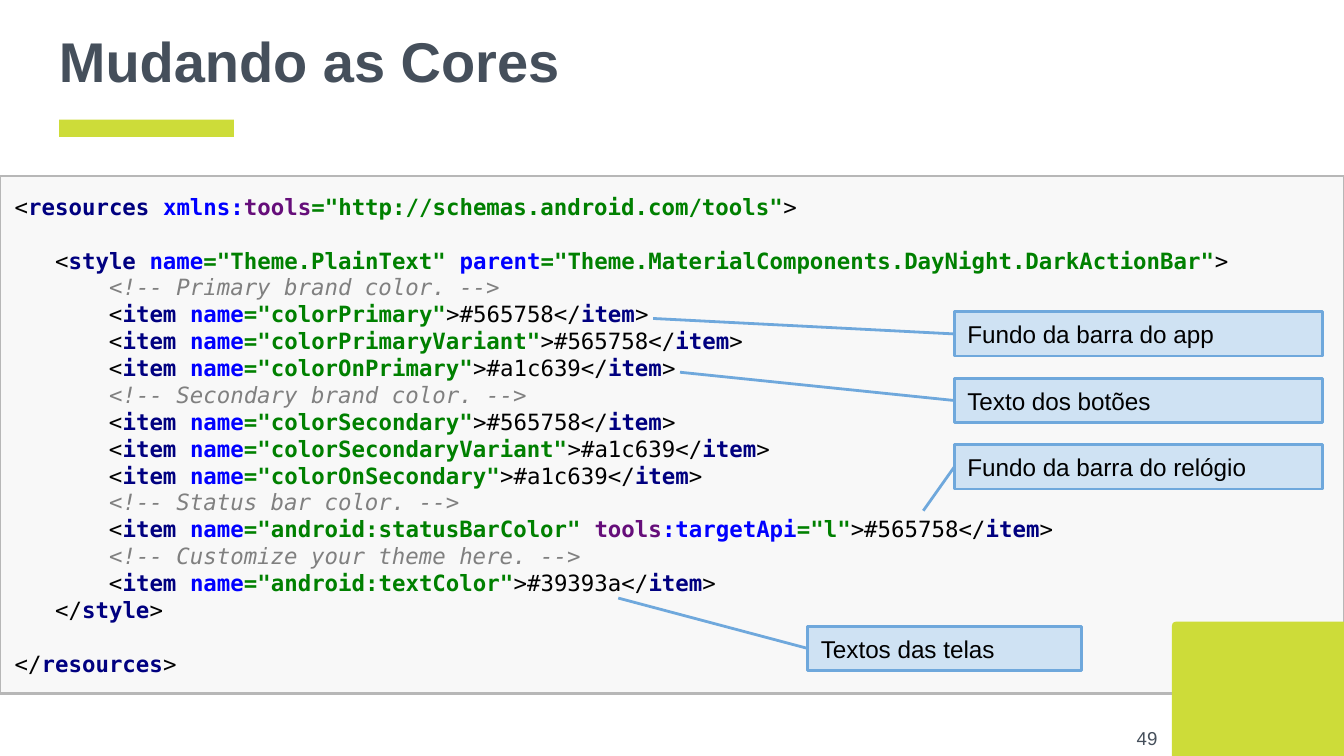
from dataclasses import dataclass

from lxml import etree
from pptx import Presentation
from pptx.dml.color import RGBColor
from pptx.enum.shapes import MSO_CONNECTOR, MSO_SHAPE
from pptx.enum.text import MSO_ANCHOR, PP_ALIGN
from pptx.oxml.ns import qn
from pptx.util import Inches, Pt

RECTANGLE = MSO_SHAPE.RECTANGLE
ROUNDED_CORNER = MSO_SHAPE.ROUND_1_RECTANGLE
STRAIGHT = MSO_CONNECTOR.STRAIGHT
MIDDLE = MSO_ANCHOR.MIDDLE
LEFT = PP_ALIGN.LEFT
RIGHT = PP_ALIGN.RIGHT
LEFT_SIDE = 1

COLUMNS, ROWS = 100, 56.25
WIDTH, HEIGHT = Inches(10), Inches(5.625)

COLORS = {
    "lime": "CDDC39",
    "slate": "454F5B",
    "panel": "F8F8F8",
    "panel_line": "B7B7B7",
    "callout": "CFE2F3",
    "callout_line": "6FA8DC",
    "plain": "000000",
    "tag": "000080",
    "attribute": "0000FF",
    "namespace": "660E7A",
    "string": "008000",
    "comment": "808080",
}
BOLD_STYLES = {"tag", "attribute", "namespace", "string"}


@dataclass(frozen=True)
class Area:
    column: float
    row: float
    columns: float
    rows: float


@dataclass(frozen=True)
class Token:
    text: str
    style: str = "plain"


@dataclass(frozen=True)
class Callout:
    text: str
    area: Area
    target: tuple[float, float]


def across(columns: float) -> int:
    return round(WIDTH * columns / COLUMNS)


def down(rows: float) -> int:
    return round(HEIGHT * rows / ROWS)


def place(area: Area) -> tuple[int, int, int, int]:
    return across(area.column), down(area.row), across(area.columns), down(area.rows)


def color(name: str) -> RGBColor:
    return RGBColor.from_string(COLORS[name])


def comment(text: str) -> list[Token]:
    return [Token(" " * 7), Token(f"<!-- {text} -->", "comment")]


def attribute(name: str, value: str) -> list[Token]:
    return [Token(name, "attribute"), Token(f'="{value}"', "string")]


def item(name: str, value: str, extra: tuple[Token, ...] = ()) -> list[Token]:
    return [Token(" " * 7 + "<"), Token("item ", "tag"), *attribute("name", name),
            *extra, Token(f">{value}</"), Token("item", "tag"), Token(">")]


def closing(name: str, indent: int = 0) -> list[Token]:
    return [Token(" " * indent + "</"), Token(name, "tag"), Token(">")]


TARGET_API = (
    Token(" tools", "namespace"),
    Token(":targetApi", "attribute"),
    Token('="l"', "string"),
)
CODE = [
    [Token("<"), Token("resources ", "tag"), Token("xmlns:", "attribute"),
     Token("tools", "namespace"),
     Token('="http://schemas.android.com/tools"', "string"), Token(">")],
    [],
    [Token("   <"), Token("style ", "tag"), *attribute("name", "Theme.PlainText"),
     *attribute(" parent", "Theme.MaterialComponents.DayNight.DarkActionBar"),
     Token(">")],
    comment("Primary brand color."),
    item("colorPrimary", "#565758"),
    item("colorPrimaryVariant", "#565758"),
    item("colorOnPrimary", "#a1c639"),
    comment("Secondary brand color."),
    item("colorSecondary", "#565758"),
    item("colorSecondaryVariant", "#a1c639"),
    item("colorOnSecondary", "#a1c639"),
    comment("Status bar color."),
    item("android:statusBarColor", "#565758", TARGET_API),
    comment("Customize your theme here."),
    item("android:textColor", "#39393a"),
    closing("style", 3),
    [],
    closing("resources"),
]

SIDE_CALLOUTS = [
    ("Fundo da barra do app", (48.6, 23.7)),
    ("Texto dos botões", (50.6, 27.7)),
    ("Fundo da barra do relógio", (68.7, 38)),
]
CALLOUTS = [
    Callout(text, Area(71, 23.2 + 4.95 * index, 27.4, 3.3), target)
    for index, (text, target) in enumerate(SIDE_CALLOUTS)
] + [Callout("Textos das telas", Area(60.1, 46.6, 20.4, 3.3), (46, 44.5))]


def add_block(page, area: Area, fill: str, line: str | None = None,
              width: float = 1.5, kind=RECTANGLE):
    block = page.shapes.add_shape(kind, *place(area))
    block.shadow.inherit = False
    block.fill.solid()
    block.fill.fore_color.rgb = color(fill)
    if line:
        block.line.color.rgb = color(line)
        block.line.width = Pt(width)
    else:
        block.line.fill.background()
    return block


def set_frame(box, horizontal: float = 0.1, vertical: float = 0.1):
    frame = box.text_frame
    frame.word_wrap = True
    frame.vertical_anchor = MIDDLE
    frame.margin_left = frame.margin_right = Inches(horizontal)
    frame.margin_top = frame.margin_bottom = Inches(vertical)
    return frame


def write(box, text: str, size: float, ink: str, bold: bool = False,
          align=LEFT) -> None:
    para = set_frame(box).paragraphs[0]
    para.alignment = align
    para.font.name = "Arial"
    para.font.size = Pt(size)
    para.font.bold = bold
    para.font.color.rgb = color(ink)
    para.add_run().text = text


def write_code(box, lines: list[list[Token]]) -> None:
    frame = set_frame(box, 0.11, 0.06)
    for index, tokens in enumerate(lines):
        para = frame.add_paragraph() if index else frame.paragraphs[0]
        para.alignment = LEFT
        para.line_spacing = Pt(14.4)
        para.font.name = "DejaVu Sans Mono"
        para.font.size = Pt(12)
        for token in tokens:
            span = para.add_run()
            span.text = token.text
            span.font.color.rgb = color(token.style)
            span.font.bold = token.style in BOLD_STYLES
            span.font.italic = token.style == "comment"


def add_callout(page, callout: Callout) -> None:
    box = add_block(page, callout.area, "callout", "callout_line")
    write(box, callout.text, 13, "plain")
    column, row = callout.target
    pointer = page.shapes.add_connector(STRAIGHT, 0, 0, across(column), down(row))
    pointer.begin_connect(box, LEFT_SIDE)
    pointer.line.color.rgb = color("callout_line")
    pointer.line.width = Pt(1.5)
    etree.SubElement(pointer._element.spPr, qn("a:effectLst"))


def main() -> None:
    deck = Presentation()
    deck.slide_width, deck.slide_height = WIDTH, HEIGHT
    page = deck.slides.add_slide(deck.slide_layouts[6])
    add_block(page, Area(4.4, 8.9, 13, 1.3), "lime")
    title = page.shapes.add_textbox(*place(Area(3.4, 0, 93.2, 8.9)))
    write(title, "Mudando as Cores", 30, "slate", bold=True)
    number = page.shapes.add_textbox(*place(Area(81.1, 52.8, 6, 4.3)))
    write(number, "49", 10, "slate", align=RIGHT)
    panel = add_block(page, Area(0, 13.1, 100, 38.5), "panel", "panel_line", 1.44)
    write_code(panel, CODE)
    for callout in CALLOUTS:
        add_callout(page, callout)
    corner = add_block(page, Area(88.6, 44.85, 10, 12.8), "lime", kind=ROUNDED_CORNER)
    corner.adjustments[0] = 0.03
    corner.rotation = 270
    deck.save("out.pptx")


if __name__ == "__main__":
    main()
